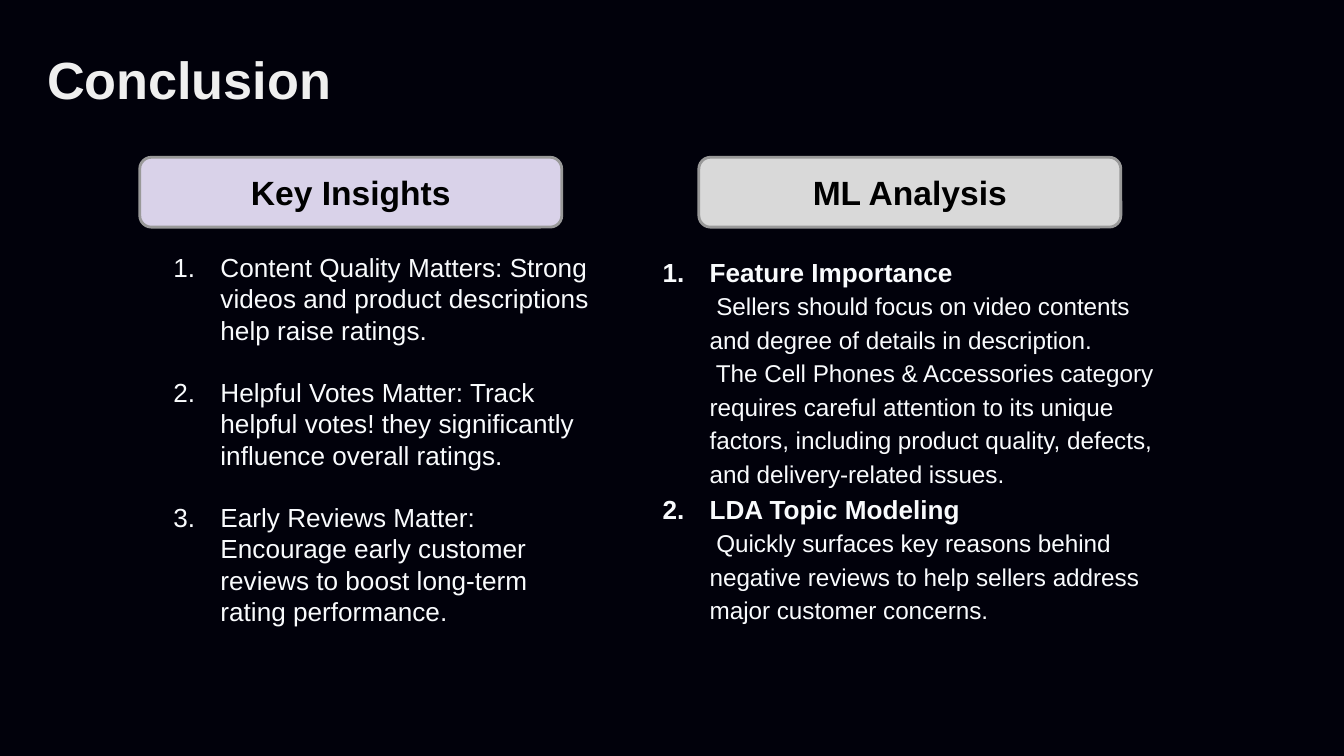
from lxml import etree
from pptx import Presentation
from pptx.dml.color import RGBColor
from pptx.enum.shapes import MSO_SHAPE
from pptx.enum.text import MSO_ANCHOR, MSO_AUTO_SIZE, PP_ALIGN
from pptx.oxml.ns import qn
from pptx.util import Inches, Pt

ROUNDED = MSO_SHAPE.ROUNDED_RECTANGLE
TOP, MIDDLE = MSO_ANCHOR.TOP, MSO_ANCHOR.MIDDLE
LEFT, CENTER = PP_ALIGN.LEFT, PP_ALIGN.CENTER
NO_AUTOFIT = MSO_AUTO_SIZE.NONE

FONT = "Arial"
NIGHT = RGBColor(0x01, 0x01, 0x0B)
TITLE_WHITE = RGBColor(0xEF, 0xEF, 0xEF)
TEXT_WHITE = RGBColor(0xF9, 0xFB, 0xFD)
BLACK = RGBColor(0x00, 0x00, 0x00)
BORDER = RGBColor(0x99, 0x99, 0x99)
LILAC = RGBColor(0xD9, 0xD2, 0xE9)
SILVER = RGBColor(0xD9, 0xD9, 0xD9)

HEADER_TOP, HEADER_WIDTH, HEADER_HEIGHT = 1.17, 3.14, 0.52
LIST_TOP = 1.77

INSIGHTS = [
    "Content Quality Matters: Strong videos and product descriptions help raise ratings.",
    "Helpful Votes Matter: Track helpful votes! they significantly influence overall ratings.",
    "Early Reviews Matter: Encourage early customer reviews to boost long-term rating performance.",
]
ANALYSIS = [
    ("Feature Importance", [
        " Sellers should focus on video contents and degree of details in description.",
        " The Cell Phones & Accessories category requires careful attention to its unique "
        "factors, including product quality, defects, and delivery-related issues.",
    ]),
    ("LDA Topic Modeling", [
        " Quickly surfaces key reasons behind negative reviews to help sellers address "
        "major customer concerns.",
    ]),
]


def place(box, left, top, width, height, anchor):
    box.left, box.top = Inches(left), Inches(top)
    box.width, box.height = Inches(width), Inches(height)
    frame = box.text_frame
    frame.word_wrap = True
    frame.auto_size = NO_AUTOFIT
    frame.vertical_anchor = anchor
    frame.margin_left = frame.margin_right = Inches(0.1)
    frame.margin_top = frame.margin_bottom = Inches(0.1)
    return frame


def numbered_paragraph(frame, index, line_spacing, space_after):
    para = frame.paragraphs[0] if index == 0 else frame.add_paragraph()
    para.line_spacing = line_spacing
    para.space_before, para.space_after = Pt(0), Pt(space_after)
    properties = para._p.get_or_add_pPr()
    properties.set("marL", str(Inches(0.5)))
    properties.set("indent", str(Inches(-0.35)))
    color = etree.SubElement(properties, qn("a:buClr"))
    etree.SubElement(color, qn("a:srgbClr"), val=str(TEXT_WHITE))
    etree.SubElement(properties, qn("a:buFont"), typeface=FONT)
    etree.SubElement(properties, qn("a:buAutoNum"), type="arabicPeriod")
    para.font.name = FONT
    para.font.color.rgb = TEXT_WHITE
    return para


deck = Presentation()
deck.slide_width = Inches(10)
deck.slide_height = deck.slide_width * 9 // 16
page = deck.slides.add_slide(deck.slide_layouts.get_by_name("Two Content"))
page.background.fill.solid()
page.background.fill.fore_color.rgb = NIGHT
title, insights_box, analysis_box = page.placeholders

# Title
para = place(title, 0.25, 0.25, 6.31, 0.65, TOP).paragraphs[0]
para.text = "Conclusion"
para.alignment = LEFT
para.font.name, para.font.size, para.font.bold = FONT, Pt(28), True
para.font.color.rgb = TITLE_WHITE

# Column headers
for label, left, color in [("Key Insights", 1.04, LILAC), ("ML Analysis", 5.2, SILVER)]:
    header = page.shapes.add_shape(ROUNDED, 0, 0, 0, 0)
    header.shadow.inherit = False
    header.fill.solid()
    header.fill.fore_color.rgb = color
    header.line.color.rgb = BORDER
    header.line.width = Pt(1.5)
    para = place(header, left, HEADER_TOP, HEADER_WIDTH, HEADER_HEIGHT, MIDDLE).paragraphs[0]
    para.text = label
    para.alignment = CENTER
    para.font.name, para.font.size, para.font.bold = FONT, Pt(18), True
    para.font.color.rgb = BLACK

# Key insights list, one blank line's height between items
frame = place(insights_box, 1.04, LIST_TOP, 3.46, 2.79, TOP)
for index, insight in enumerate(INSIGHTS):
    para = numbered_paragraph(frame, index, 1.0, 16.5)
    para.add_run().text = insight
    para.font.size = Pt(14)

# Analysis list, bold heading with plain lines below it
frame = place(analysis_box, 4.68, LIST_TOP, 4.17, 3.85, TOP)
for index, (heading, lines) in enumerate(ANALYSIS):
    para = numbered_paragraph(frame, index, 1.15, 0)
    span = para.add_run()
    span.text = heading
    span.font.size, span.font.bold = Pt(14), True
    for line in lines:
        para.add_line_break()
        span = para.add_run()
        span.text = line
        span.font.size, span.font.bold = Pt(13), False

deck.save("out.pptx")
